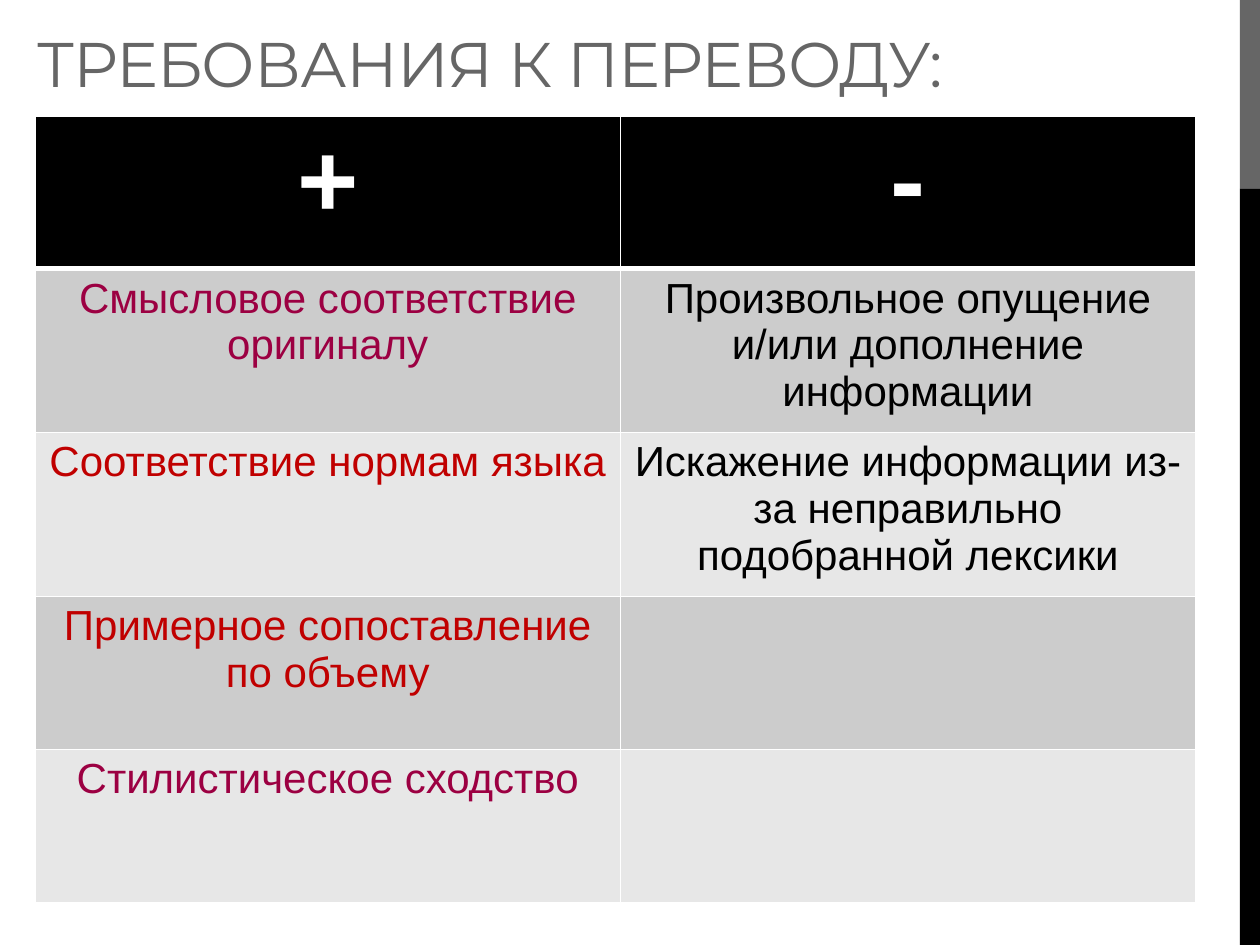
from lxml import etree
from pptx import Presentation
from pptx.dml.color import RGBColor
from pptx.enum.shapes import MSO_SHAPE
from pptx.enum.text import MSO_ANCHOR, PP_ALIGN
from pptx.oxml.ns import qn
from pptx.util import Pt

RECTANGLE = MSO_SHAPE.RECTANGLE
BOTTOM = MSO_ANCHOR.BOTTOM
CENTER = PP_ALIGN.CENTER

WHITE, BLACK, GRAY = "FFFFFF", "000000", "666666"
PLUM, RED = "9C0042", "C00000"
BANDS = ("CCCCCC", "E7E7E7")

HEADINGS = ("+", "-")
REQUIREMENTS = [
    (("Смысловое соответствие оригиналу", PLUM),
     ("Произвольное опущение и/или дополнение информации", BLACK)),
    (("Соответствие нормам языка", RED),
     ("Искажение информации из-за неправильно подобранной лексики", BLACK)),
    (("Примерное сопоставление по объему", RED), ("", BLACK)),
    (("Стилистическое сходство", PLUM), ("", BLACK)),
]


def color(value):
    return RGBColor.from_string(value)


def set_font(font, name, size, value, bold=False):
    font.name = name
    font.size = Pt(size)
    font.bold = bold
    font.color.rgb = color(value)


def add_side_bar(page, left, top, width, height):
    accent_height = height / 5
    parts = ((top, accent_height, GRAY),
             (top + accent_height, height - accent_height, BLACK))
    for part_top, part_height, value in parts:
        bar = page.shapes.add_shape(
            RECTANGLE, Pt(left), Pt(part_top), Pt(width), Pt(part_height))
        bar.shadow.inherit = False
        bar.fill.solid()
        bar.fill.fore_color.rgb = color(value)
        bar.line.fill.background()


def add_title(page, left, top, width, height):
    box = page.shapes.add_textbox(Pt(left), Pt(top), Pt(width), Pt(height))
    frame = box.text_frame
    frame.word_wrap = True
    frame.vertical_anchor = BOTTOM
    para = frame.paragraphs[0]
    span = para.add_run()
    span.text = "ТРЕБОВАНИЯ К ПЕРЕВОДУ:"
    set_font(para.font, "Montserrat", 36, GRAY)
    span.font.size = Pt(36)
    span._r.get_or_add_rPr().set("spc", "-60")


def set_borders(cell, widths):
    properties = cell._tc.get_or_add_tcPr()
    for index, (side, width) in enumerate(widths.items()):
        line = etree.Element(qn(f"a:ln{side}"), w=str(Pt(width)))
        fill = etree.SubElement(line, qn("a:solidFill"))
        etree.SubElement(fill, qn("a:srgbClr"), val=WHITE)
        properties.insert(index, line)


def fill_cell(cell, text, size, value, background, bold, widths):
    cell.fill.solid()
    cell.fill.fore_color.rgb = color(background)
    set_borders(cell, widths)
    para = cell.text_frame.paragraphs[0]
    para.alignment = CENTER
    set_font(para.font, "Arial", size, value, bold)
    if text:
        para.add_run().text = text


def add_requirements(page, left, top, column_widths, row_height):
    row_count = len(REQUIREMENTS) + 1
    table = page.shapes.add_table(
        row_count, len(column_widths), Pt(left), Pt(top),
        Pt(sum(column_widths)), Pt(row_height * row_count)).table
    for column, width in zip(table.columns, column_widths):
        column.width = Pt(width)
    for row in table.rows:
        row.height = Pt(row_height)

    for column, text in enumerate(HEADINGS):
        fill_cell(table.cell(0, column), text, 60, WHITE, BLACK, True,
                  {"L": 1, "R": 1, "T": 1, "B": 3})
    for row, entries in enumerate(REQUIREMENTS, 1):
        for column, (text, value) in enumerate(entries):
            fill_cell(table.cell(row, column), text, 24, value,
                      BANDS[(row - 1) % 2], False,
                      {"L": 1, "R": 1, "T": 3 if row == 1 else 1, "B": 1})


def main():
    deck = Presentation()
    deck.slide_width, deck.slide_height = Pt(720), Pt(540)
    page = deck.slides.add_slide(deck.slide_layouts[6])
    add_side_bar(page, 708.5, 0, 11.5, 540)
    add_title(page, 14.4, 0, 697.6, 60.5)
    add_requirements(page, 20, 66.2, (334.5, 328.7), 87.4)
    deck.save("out.pptx")


if __name__ == "__main__":
    main()
